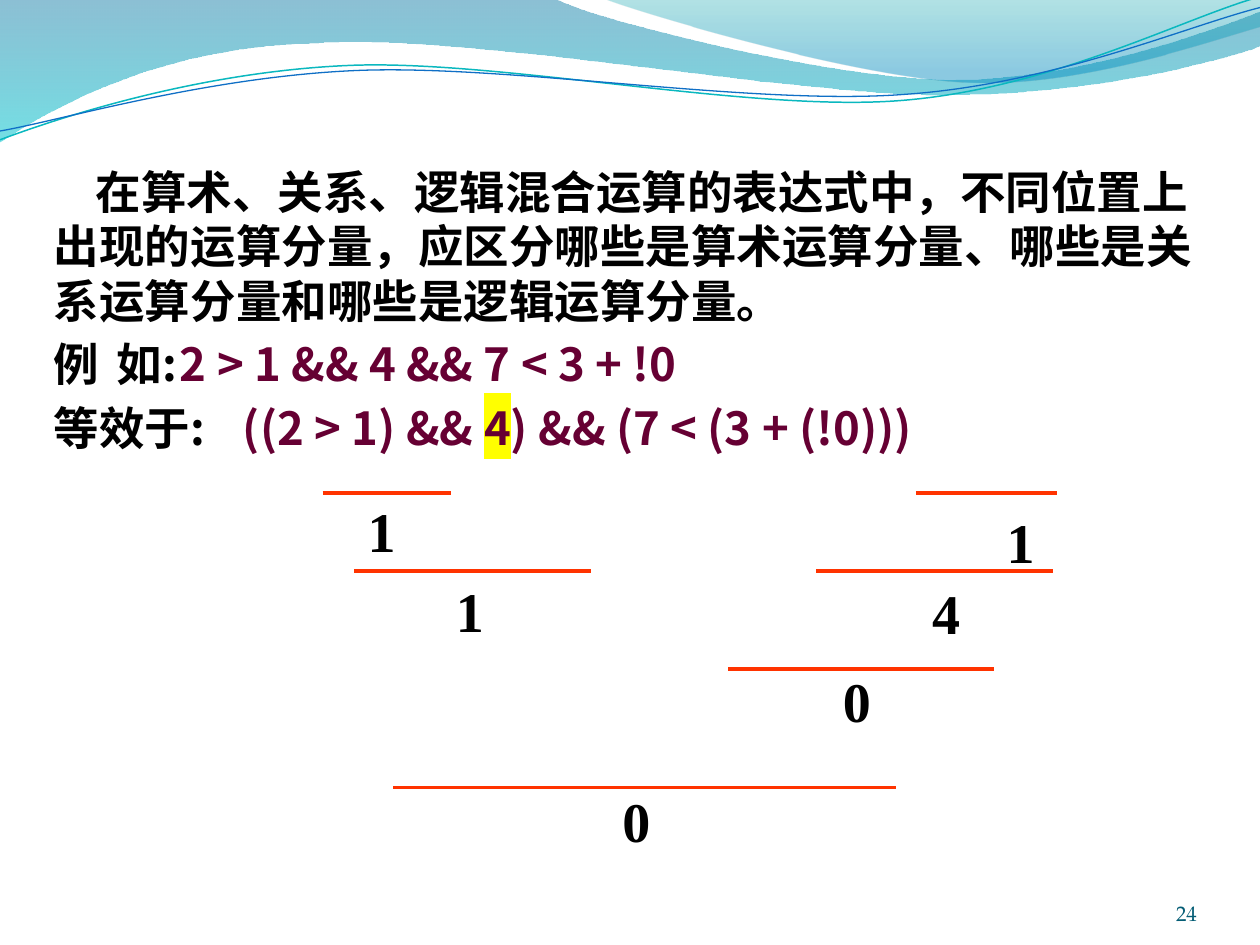
import lxml.etree
import pptx
import pptx.dml.color
import pptx.enum.shapes
import pptx.enum.text
import pptx.oxml.ns
import pptx.util

Inches, Pt, qn = pptx.util.Inches, pptx.util.Pt, pptx.oxml.ns.qn
SANS, SERIF, NUMBER = "Noto Sans CJK SC", "Times New Roman", "TeX Gyre Pagella"
BLACK, PLUM, RED = "000000", "660033", "FF3300"

# Each wave is a start point followed by lines (2 numbers) and Bézier curves (6), in inches.
BANDS = [
    ([(0, 0), (4.4, -0.01), (4.76, 0.17, 6.64, 0.63, 7.58, 0.63),
      (8.53, 0.63, 9.58, 0.26, 10, 0.09), (10.01, 0.36),
      (9.83, 0.44, 8.7, 0.76, 7.46, 0.75), (6.22, 0.75, 3.82, 0.28, 2.57, 0.34),
      (1.29, 0.36, 0.46, 0.83, -0.01, 1.13)],
     [(0, "0074A1", 45), (1, "00C6CF", 55)]),
    ([(4.79, -0.01), (5.09, 0.11, 6.82, 0.62, 7.69, 0.65),
      (8.56, 0.69, 9.61, 0.32, 10, 0.21), (10, 0)],
     [(0, "00A1A9", 30), (0.8, "008BBF", 45)]),
]
STRANDS = [
    ([(0, 1.11), (0.48, 0.93, 1.58, 0.57, 2.77, 0.52),
      (3.95, 0.47, 5.93, 0.89, 7.13, 0.8), (8.33, 0.71, 9.38, 0.15, 9.98, -0.02)],
     "0AB8BF", 0.85),
    ([(0, 1.04), (0.47, 0.96, 1.64, 0.61, 2.83, 0.56),
      (4.03, 0.51, 5.97, 0.84, 7.17, 0.75), (8.36, 0.67, 9.41, 0.21, 10, 0.06)],
     "0F6FC6", 0.75),
]
# Bar start, end and height; then the value, with its box's left, top and width.
STEPS = [
    (2.56, 3.58, 3.91, "1", 2.82, 3.89, 0.37),
    (7.27, 8.39, 3.91, "1", 7.89, 3.98, 0.37),
    (2.81, 4.69, 4.53, "1", 3.52, 4.53, 0.37),
    (6.48, 8.36, 4.53, "4", 7.3, 4.54, 0.37),
    (5.78, 7.89, 5.31, "0", 6.59, 5.24, 0.45),
    (3.12, 7.11, 6.25, "0", 4.84, 6.19, 0.55),
]


def color(value):
    return pptx.dml.color.RGBColor.from_string(value)


def assign(target, values):
    for name, value in values.items():
        setattr(target, name, value)


def add_outline(page, left, top, segments, close):
    """Draw all points as lines, then join each curve's three lines into one Bézier."""
    points = [(Inches(left + x), Inches(top + y))
              for segment in segments for x, y in zip(segment[::2], segment[1::2])]
    builder = page.shapes.build_freeform(*points[0])
    builder.add_line_segments(points[1:], close=close)
    shape = builder.convert_to_shape()
    shape.shadow.inherit = False
    lines = iter(list(shape.element.iter(qn("a:lnTo"))))
    for segment in segments[1:]:
        first = next(lines)
        if len(segment) == 6:
            first.tag = qn("a:cubicBezTo")
            for line in (next(lines), next(lines)):
                first.append(line[0])
                line.getparent().remove(line)
    return shape


def add_waves(page, left, top):
    for segments, stops in BANDS:
        band = add_outline(page, left, top, segments, True)
        band.line.fill.background()
        band.fill.gradient()
        band.fill.gradient_angle = 270
        for stop, (position, value, _) in zip(band.fill.gradient_stops, stops):
            stop.position = position
            stop.color.rgb = color(value)
        for element, (_, _, opacity) in zip(band.element.iter(qn("a:gs")), stops):
            lxml.etree.SubElement(element[0], qn("a:alpha"), val=str(opacity * 1000))
    for segments, value, width in STRANDS:
        strand = add_outline(page, left, top, segments, False)
        strand.fill.background()
        strand.line.color.rgb = color(value)
        strand.line.width = Pt(width)


def add_box(page, left, top, width, height, **frame_values):
    box = page.shapes.add_textbox(*(Inches(n) for n in (left, top, width, height)))
    assign(box.text_frame, dict(word_wrap=True, **frame_values))
    return box.text_frame


def add_span(para, text, size, name, value, bold=True, highlight=None):
    span = para.add_run()
    span.text = text
    assign(span.font, dict(size=Pt(size), bold=bold, name=name))
    span.font.color.rgb = color(value)
    latin = span.font._element.find(qn("a:latin"))
    latin.addnext(lxml.etree.Element(qn("a:ea"), typeface=name))
    if highlight:
        mark = lxml.etree.Element(qn("a:highlight"))
        lxml.etree.SubElement(mark, qn("a:srgbClr"), val=highlight)
        latin.addprevious(mark)


def add_explanation(page, left, top, width, height):
    frame = add_box(page, left, top, width, height)
    lines = [
        (0.33, [], [("在算术、关系、逻辑混合运算的表达式中，不同位置上出现的运算分量，"
                     "应区分哪些是算术运算分量、哪些是关系运算分量和哪些是逻辑运算分量。", BLACK)]),
        (0, [0.54, 1.5], [("例\t如:\t", BLACK), ("2 > 1 && 4 && 7 < 3 + !0", PLUM)]),
        (0, [1.42], [("等效于:\t", BLACK), ("((2 > 1) && ", PLUM), ("4", PLUM, "FFFF00"),
                     (") && (7 < (3 + (!0)))", PLUM)]),
    ]
    for number, (indent, tabs, spans) in enumerate(lines):
        para = frame.add_paragraph() if number else frame.paragraphs[0]
        para.space_before = Pt(5.2 if number else 0)
        properties = para._p.get_or_add_pPr()
        properties.set("indent", str(Inches(indent)))
        if tabs:
            tab_list = lxml.etree.SubElement(properties, qn("a:tabLst"))
            for tab in tabs:
                lxml.etree.SubElement(tab_list, qn("a:tab"), pos=str(Inches(tab)), algn="l")
        for text, value, *highlight in spans:
            add_span(para, text, 26, SANS, value, highlight=highlight[0] if highlight else None)


def add_evaluation(page, left, top):
    """Place each underline with the value of the part above it."""
    for start, end, height, value, box_left, box_top, box_width in STEPS:
        bar = page.shapes.add_connector(
            pptx.enum.shapes.MSO_CONNECTOR.STRAIGHT,
            Inches(left + start), Inches(top + height), Inches(left + end), Inches(top + height))
        bar.line.color.rgb = color(RED)
        bar.line.width = Pt(2.25)
        lxml.etree.SubElement(bar.element.spPr, qn("a:effectLst"))
        frame = add_box(page, left + box_left, top + box_top, box_width, 0.63, margin_right=0)
        add_span(frame.paragraphs[0], value, 32, SERIF, BLACK)


def add_page_number(page, left, top, width, height):
    frame = add_box(page, left, top, width, height, margin_left=0, margin_right=0, margin_top=0,
                    margin_bottom=0, vertical_anchor=pptx.enum.text.MSO_ANCHOR.BOTTOM)
    para = frame.paragraphs[0]
    para.alignment = pptx.enum.text.PP_ALIGN.RIGHT
    add_span(para, "24", 12, NUMBER, "045D75", bold=False)


def main():
    deck = pptx.Presentation()
    assign(deck, dict(slide_width=Inches(10), slide_height=Inches(7.5)))
    page = deck.slides.add_slide(deck.slide_layouts[6])
    add_waves(page, 0, 0)
    add_explanation(page, 0.33, 1.25, 9.31, 2.81)
    add_page_number(page, 8.67, 6.95, 0.83, 0.4)
    add_evaluation(page, 0, 0)
    deck.save("out.pptx")


if __name__ == "__main__":
    main()
